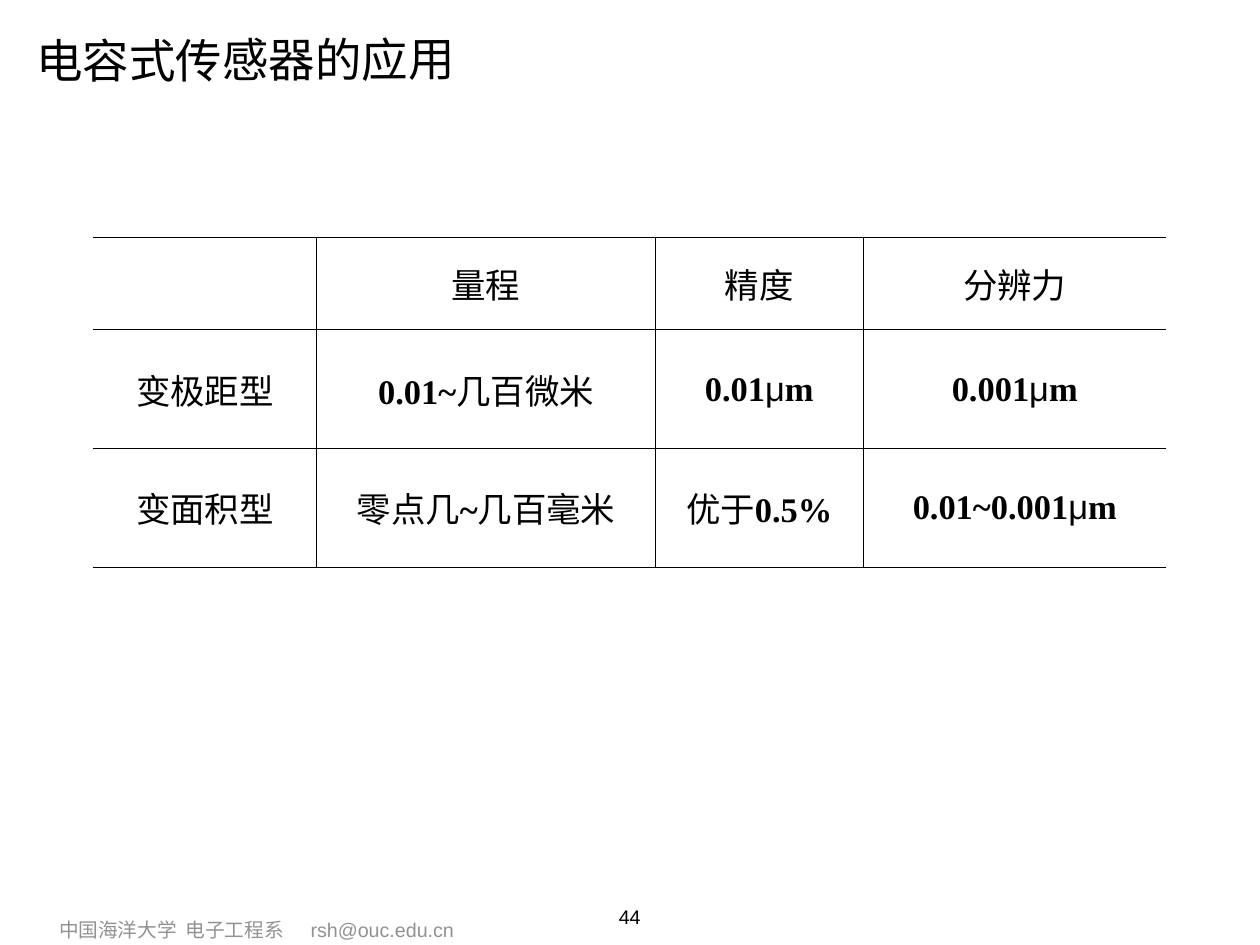
from itertools import groupby

from lxml.etree import SubElement
from pptx import Presentation
from pptx.dml.color import RGBColor
from pptx.enum.text import MSO_ANCHOR, PP_ALIGN
from pptx.oxml.ns import qn
from pptx.util import Pt

BLACK = RGBColor(0x00, 0x00, 0x00)
GRAY = RGBColor(0x92, 0x92, 0x92)
CHINESE_FONT = "Noto Sans CJK SC"
NUMBER_FONT = "Times New Roman"
SYMBOL_FONT = "Arial"


def add_text(paragraph, text, size, font=SYMBOL_FONT, bold=False, color=BLACK,
             align=PP_ALIGN.CENTER):
    paragraph.alignment = align
    run = paragraph.add_run()
    run.text = text
    run.font.size = Pt(size)
    run.font.bold = bold
    run.font.color.rgb = color
    run.font.name = font
    SubElement(run.font._element, qn("a:ea"), typeface=CHINESE_FONT)


def cell_font(character):
    if character == "μ":
        return SYMBOL_FONT
    return NUMBER_FONT if character.isascii() else CHINESE_FONT


presentation = Presentation()
presentation.slide_width = Pt(1024)
presentation.slide_height = Pt(768)
slide = presentation.slides.add_slide(presentation.slide_layouts[6])

# Footer, title and page number
frames = []
for left, top, width, height, wrap in (
    (44, 741.5, 335.5, 27.5, True),
    (24.5, 4.5, 350, 86.5, False),
    (498.5, 732, 26.5, 25.5, False),
):
    box = slide.shapes.add_textbox(Pt(left), Pt(top), Pt(width), Pt(height))
    frame = box.text_frame
    frame.word_wrap = wrap
    frame.vertical_anchor = MSO_ANCHOR.MIDDLE
    frame.margin_left = frame.margin_right = Pt(4)
    frame.margin_top = frame.margin_bottom = Pt(4)
    frames.append(frame)
    if height > 80:
        box.rotation = 359.6

footer, title, page_number = (frame.paragraphs[0] for frame in frames)
tab_list = SubElement(footer._p.get_or_add_pPr(), qn("a:tabLst"))
for position in (103, 204.5):
    SubElement(tab_list, qn("a:tab"), pos=str(Pt(position)), algn="l")
add_text(footer, "中国海洋大学\t电子工程系\trsh@ouc.edu.cn", size=16, color=GRAY,
         align=PP_ALIGN.LEFT)
add_text(title, "电容式传感器的应用", size=37.8, font=CHINESE_FONT)
add_text(page_number, "44", size=16)

# Comparison of the sensor types
ROWS = (
    ("", "量程", "精度", "分辨力"),
    ("变极距型", "0.01~几百微米", "0.01μm", "0.001μm"),
    ("变面积型", "零点几~几百毫米", "优于0.5%", "0.01~0.001μm"),
)
COLUMN_WIDTHS = (182, 275, 169, 246.5)
ROW_HEIGHTS = (75, 96.5, 96.5)

table = slide.shapes.add_table(
    len(ROWS), len(COLUMN_WIDTHS), Pt(75.5), Pt(193),
    Pt(sum(COLUMN_WIDTHS)), Pt(sum(ROW_HEIGHTS))).table
table.first_row = False
table.horz_banding = False
for column, width in zip(table.columns, COLUMN_WIDTHS):
    column.width = Pt(width)
for row, height in zip(table.rows, ROW_HEIGHTS):
    row.height = Pt(height)

for row_index, texts in enumerate(ROWS):
    for column_index, text in enumerate(texts):
        cell = table.cell(row_index, column_index)
        cell.vertical_anchor = MSO_ANCHOR.MIDDLE
        cell.margin_left = cell.margin_right = Pt(3.6)
        cell.margin_top = cell.margin_bottom = Pt(3.6)
        for font, characters in groupby(text, cell_font):
            add_text(cell.text_frame.paragraphs[0], "".join(characters), size=28,
                     font=font, bold=font == NUMBER_FONT)

        # The table is open on its left and right sides
        open_sides = {0: "lnL", len(texts) - 1: "lnR"}
        properties = cell._tc.get_or_add_tcPr()
        for side in ("lnL", "lnR", "lnT", "lnB"):
            border = SubElement(properties, qn(f"a:{side}"), w=str(Pt(1)))
            if open_sides.get(column_index) == side:
                SubElement(border, qn("a:noFill"))
            else:
                fill = SubElement(border, qn("a:solidFill"))
                SubElement(fill, qn("a:srgbClr"), val=str(BLACK))
        cell.fill.background()

presentation.save("out.pptx")
